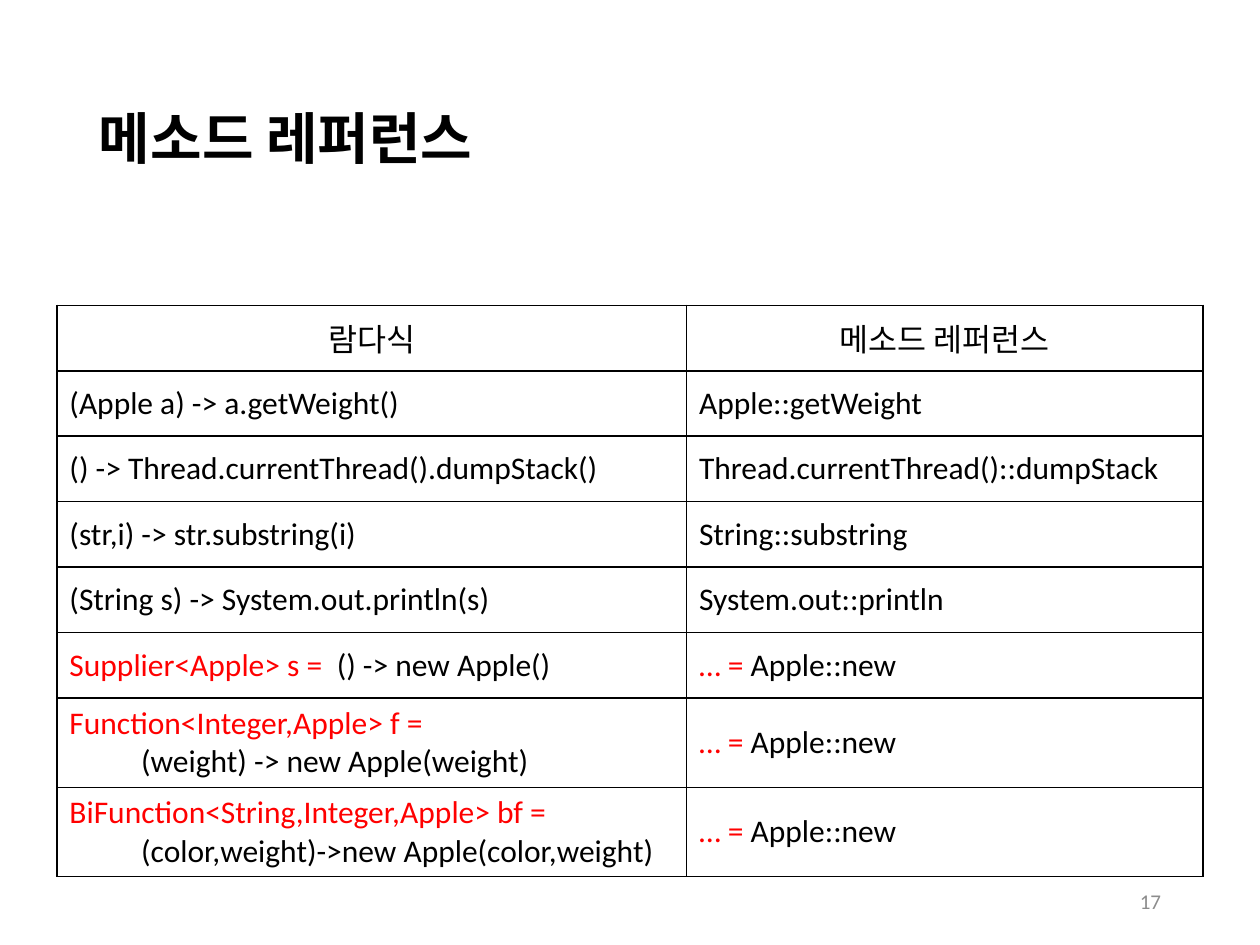
from lxml.etree import SubElement
from pptx import Presentation
from pptx.dml.color import RGBColor
from pptx.enum.text import MSO_ANCHOR, PP_ALIGN
from pptx.oxml.ns import qn
from pptx.util import Pt

BLACK, RED, GRAY = "000000", "FF0000", "8C8C8C"
NEW = [[("… = ", RED), ("Apple::new", BLACK)]]
HEADER = ("람다식", "메소드 레퍼런스")
ROWS = [
    ("(Apple a) -> a.getWeight()", "Apple::getWeight"),
    ("() -> Thread.currentThread().dumpStack()", "Thread.currentThread()::dumpStack"),
    ("(str,i) -> str.substring(i)", "String::substring"),
    ("(String s) -> System.out.println(s)", "System.out::println"),
    ([[("Supplier<Apple> s =  ", RED), ("() -> new Apple()", BLACK)]], NEW),
    ([[("Function<Integer,Apple> f =", RED)],
      [("(weight) -> new Apple(weight)", BLACK)]], NEW),
    ([[("BiFunction<String,Integer,Apple> bf =", RED)],
      [("(color,weight)->new Apple(color,weight)", BLACK)]], NEW),
]


def rgb(color):
    """Turn a hex string into a colour."""
    return RGBColor.from_string(color)


def write(tf, text, size=18, color=BLACK, bold=False, align=PP_ALIGN.LEFT, spacing=1, indent=0):
    """Write a string, or paragraphs of (text, colour) runs; indent applies after the first."""
    paragraphs = [[(text, color)]] if isinstance(text, str) else text
    for i, runs in enumerate(paragraphs):
        p = tf.add_paragraph() if i else tf.paragraphs[0]
        p.alignment, p.line_spacing = align, spacing
        if i and indent:
            p._p.get_or_add_pPr().set("marL", str(Pt(indent)))
        for words, tint in runs:
            r = p.add_run()
            r.text = words
            r.font.name, r.font.size, r.font.bold = "Calibri", Pt(size), bold
            r.font.color.rgb = rgb(tint)


def add_text(s, box, text, **fmt):
    """Add a vertically centred text box."""
    tf = s.shapes.add_textbox(*map(Pt, box)).text_frame
    tf.word_wrap = True
    tf.vertical_anchor = MSO_ANCHOR.MIDDLE
    write(tf, text, **fmt)


def set_borders(cell):
    """Draw a thin black line on every side of a cell."""
    tcPr = cell._tc.get_or_add_tcPr()
    for side in ("lnL", "lnR", "lnT", "lnB"):
        ln = SubElement(tcPr, qn(f"a:{side}"), w=str(Pt(1)))
        fill = SubElement(ln, qn("a:solidFill"))
        SubElement(fill, qn("a:srgbClr"), val=BLACK)


def add_comparison(s, left, top, widths, row_height, tall_height):
    """Add the table of lambdas and their method references."""
    data = [HEADER, *ROWS]
    heights = [row_height if isinstance(row[0], str) or len(row[0]) == 1 else tall_height
               for row in data]
    box = map(Pt, (left, top, sum(widths), sum(heights)))
    table = s.shapes.add_table(len(data), len(widths), *box).table
    table.first_row = table.horz_banding = False
    for column, width in zip(table.columns, widths):
        column.width = Pt(width)
    for i, (row, height) in enumerate(zip(data, heights)):
        table.rows[i].height = Pt(height)
        for j, text in enumerate(row):
            cell = table.cell(i, j)
            cell.vertical_anchor = MSO_ANCHOR.MIDDLE
            set_borders(cell)
            cell.fill.background()
            write(cell.text_frame, text, indent=41,
                  align=PP_ALIGN.LEFT if i else PP_ALIGN.CENTER)


def main():
    """Build the slide."""
    prs = Presentation()
    prs.slide_width, prs.slide_height = Pt(720), Pt(540)
    s = prs.slides.add_slide(prs.slide_layouts[6])
    add_text(s, (49.5, 28.75, 621, 104.4), "메소드 레퍼런스", size=32, bold=True, spacing=0.9)
    add_text(s, (508.5, 500.5, 162, 28.75), "17", size=12, color=GRAY, align=PP_ALIGN.RIGHT)
    add_comparison(s, 32.5, 174.5, (359.75, 295.25), 37.4, 51.1)
    prs.save("out.pptx")


if __name__ == "__main__":
    main()
